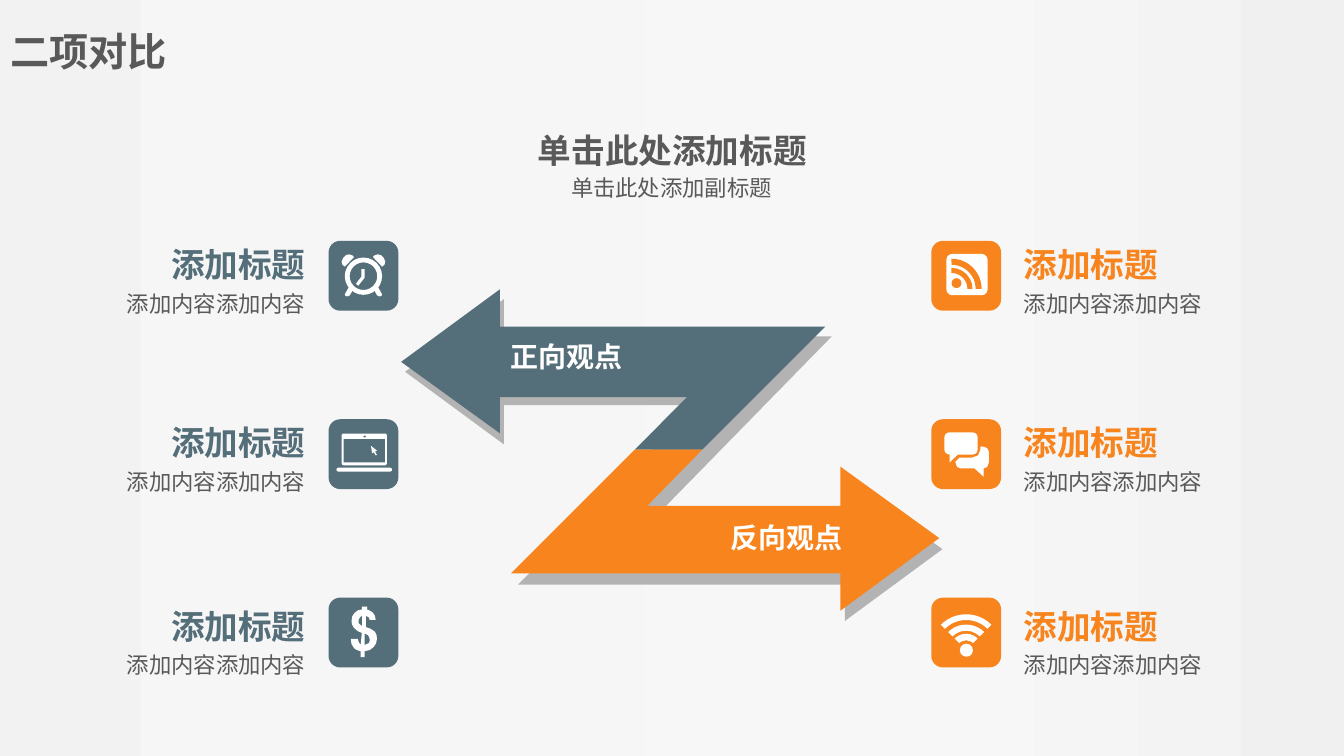
"""Build a slide that sets two opposing views against each other with a Z-shaped double arrow."""
from dataclasses import dataclass

from lxml.etree import SubElement
from pptx import Presentation
from pptx.dml.color import RGBColor
from pptx.enum.shapes import MSO_SHAPE as Preset
from pptx.enum.text import MSO_ANCHOR, MSO_AUTO_SIZE, PP_ALIGN as Align
from pptx.oxml.ns import qn
from pptx.util import Cm, Pt


@dataclass(frozen=True)
class Theme:
    slate: str = "546E7A"
    orange: str = "F8841D"
    white: str = "FFFFFF"
    text: str = "595959"
    shade: str = "B4B3B3"
    backdrop: tuple = ((0, "F2F2F2"), (21, "F6F6F6"), (48, "F7F7F7"), (77, "F5F5F5"), (100, "F0F0F0"))
    font: str = "Calibri"
    cjk_font: str = "Noto Sans CJK SC"
    title: int = 28
    heading: int = 24
    label: int = 20
    body: int = 16


theme = Theme()
presentation = Presentation()
presentation.slide_width, presentation.slide_height = Cm(33.87), Cm(19.05)
slide = presentation.slides.add_slide(presentation.slide_layouts[5])


def draw(color, kind, geometry, adjustments=(), origin=(0, 0)):
    """Draw a preset in a box, or an outline of one or more contours, in centimetres from origin."""
    left, top = origin
    if kind == "outline":
        contours = [[(Cm(left + x), Cm(top + y)) for x, y in contour] for contour in geometry]
        builder = slide.shapes.build_freeform(*contours[0][0])
        builder.add_line_segments(contours[0][1:])
        for contour in contours[1:]:
            builder.move_to(*contour[0])
            builder.add_line_segments(contour[1:])
        shape = builder.convert_to_shape()
    else:
        x, y, width, height = geometry
        shape = slide.shapes.add_shape(kind, Cm(left + x), Cm(top + y), Cm(width), Cm(height))
        for index, value in enumerate(adjustments):
            shape.adjustments[index] = value
    shape.shadow.inherit = False
    shape.fill.solid()
    shape.fill.fore_color.rgb = RGBColor.from_string(color)
    shape.line.fill.background()


def write(box, lines, alignment=Align.LEFT, spacing=1.0, wrap=True, shape=None):
    """Write (text, size, bold, color, font) lines into a new text box or a given shape."""
    left, top, width, height = map(Cm, box)
    shape = shape or slide.shapes.add_textbox(left, top, width, height)
    shape.left, shape.top, shape.width, shape.height = left, top, width, height
    frame = shape.text_frame
    frame.word_wrap = wrap
    frame.auto_size = MSO_AUTO_SIZE.NONE
    frame.vertical_anchor = MSO_ANCHOR.TOP
    for index, (text, size, bold, color, font) in enumerate(lines):
        paragraph = frame.add_paragraph() if index else frame.paragraphs[0]
        paragraph.text = text
        paragraph.alignment = alignment
        paragraph.line_spacing = spacing
        paragraph.font.name = font
        paragraph.font.size = Pt(size)
        paragraph.font.bold = bold
        paragraph.font.color.rgb = RGBColor.from_string(color)


background = slide.background.fill
background.gradient()
background.gradient_angle = 0
stop_list = slide.element.find(".//" + qn("a:gsLst"))
stop_list.clear()
for position, color in theme.backdrop:
    stop = SubElement(stop_list, qn("a:gs"), pos=str(position * 1000))
    SubElement(stop, qn("a:srgbClr"), val=color)

arrows = [
    (theme.shade, [(23.75, 13.84), (21.29, 12.01), (21.29, 13.03), (16.51, 13.03), (20.96, 8.48),
                   (12.7, 8.48), (12.7, 7.54), (10.21, 9.37), (12.7, 11.2), (12.7, 10.21),
                   (17.53, 10.21), (13.06, 14.73), (21.29, 14.73), (21.29, 15.65)]),
    (theme.slate, [(10.11, 9.12), (12.6, 7.29), (12.6, 8.23), (20.8, 8.23), (17.7, 11.33),
                   (16, 11.33), (17.31, 10.01), (12.6, 10.01), (12.6, 10.92)]),
    (theme.orange, [(12.88, 14.45), (16, 11.33), (17.7, 11.33), (16.31, 12.75), (21.18, 12.75),
                    (21.18, 11.76), (23.67, 13.56), (21.18, 15.39), (21.18, 14.45)]),
]
for color, corners in arrows:
    draw(color, "outline", [corners])

tile_size = 1.76
ear = [(1.12, .41), (1.15, .37), (1.24, .34), (1.32, .36), (1.39, .43), (1.43, .52), (1.41, .6), (1.35, .65)]
foot = [(1.24, 1.15), (1.35, 1.35), (1.33, 1.39), (1.28, 1.4), (1.22, 1.37), (1.14, 1.22)]
clock_hand = [(.83, .71), (.91, .71), (.91, .93), (.75, 1.13), (.69, 1.08), (.83, .9)]
clock = [
    (theme.white, Preset.DONUT, (.41, .42, .94, .94), (.13,)),
    (theme.white, "outline", [clock_hand]),
]
for half in (ear, foot):
    clock += [(theme.white, "outline", [half]),
              (theme.white, "outline", [[(tile_size - x, y) for x, y in half]])]

pointer = [(1.07, .67), (1.23, .8), (1.17, .81), (1.22, .9), (1.19, .91), (1.14, .83), (1.1, .86)]
laptop = [
    (theme.white, Preset.ROUNDED_RECTANGLE, (.33, .36, 1.14, .8), (.06,)),
    (theme.slate, Preset.RECTANGLE, (.38, .5, 1.04, .59)),
    (theme.slate, Preset.OVAL, (.88, .41, .06, .05)),
    (theme.white, Preset.ROUNDED_RECTANGLE, (.2, 1.22, 1.4, .1), (.5,)),
    (theme.white, "outline", [pointer]),
]

dollar_outline = [
    (.81, 1.19), (.84, .89), (.73, .84), (.64, .76), (.59, .67), (.58, .58), (.6, .47), (.66, .38),
    (.74, .32), (.84, .3), (.84, .23), (.97, .23), (.97, .3), (1.05, .33), (1.12, .38), (1.17, .46),
    (1.19, .56), (1.04, .56), (1.01, .49), (.94, .46), (.94, .74), (1.07, .79), (1.17, .86),
    (1.21, .94), (1.22, 1.04), (1.2, 1.15), (1.14, 1.24), (1.04, 1.32), (.91, 1.35), (.91, 1.5),
    (.81, 1.5), (.81, 1.35), (.71, 1.32), (.64, 1.27), (.58, 1.17), (.56, 1.04), (.74, 1.04), (.76, 1.12),
]
dollar_upper = [(.84, .46), (.79, .51), (.76, .56), (.76, .64), (.84, .71)]
dollar_lower = [(.91, 1.19), (1.02, 1.14), (1.04, 1.07), (1.02, .99), (.98, .94), (.91, .91)]
dollar = [(theme.white, "outline", [dollar_outline]),
          (theme.slate, "outline", [dollar_upper]),
          (theme.slate, "outline", [dollar_lower])]

feed = [
    (theme.white, Preset.ROUNDED_RECTANGLE, (.38, .33, 1.04, 1.04), (.14,)),
    (theme.orange, Preset.OVAL, (.51, .94, .25, .25)),
]
for radius, thickness in ((.53, .12), (.76, .1)):
    box = (.51 - radius, 1.21 - radius, 2 * radius, 2 * radius)
    feed.append((theme.orange, Preset.BLOCK_ARC, box, (162, 0, thickness)))

front_bubble = [
    (1.32, .69), (1.24, .69), (1.24, .76), (1.18, .91), (1.02, .97), (.71, .97), (.61, 1.07), (.61, 1.09),
    (.65, 1.2), (.74, 1.24), (1.09, 1.24), (1.32, 1.45), (1.32, 1.24), (1.41, 1.2), (1.45, 1.09),
    (1.45, .81), (1.41, .73),
]
chat = [
    (theme.white, "outline", [front_bubble]),
    (theme.white, Preset.ROUNDED_RECTANGLE, (.33, .33, .84, .56), (.23,)),
    (theme.white, "outline", [[(.46, .8), (.46, 1.09), (.69, .87)]]),
]

wireless = [(theme.white, Preset.OVAL, (.72, 1.16, .33, .33))]
for radius, thickness in ((.9, .08), (.64, .12), (.41, .2)):
    box = (.88 - radius, 1.32 - radius, 2 * radius, 2 * radius)
    wireless.append((theme.white, Preset.BLOCK_ARC, box, (135, 189, thickness)))

columns = [
    (theme.slate, 8.28, .03, Align.RIGHT, (clock, laptop, dollar)),
    (theme.orange, 23.47, 25.55, Align.LEFT, (feed, chat, wireless)),
]
text_tops = (5.82, 10.31, 14.94)
for color, tile_left, text_left, alignment, icons in columns:
    for row, (icon, text_top) in enumerate(zip(icons, text_tops)):
        origin = (tile_left, 6.07 + 4.495 * row)
        draw(color, Preset.ROUNDED_RECTANGLE, (0, 0, tile_size, tile_size), origin=origin)
        for part in icon:
            draw(*part, origin=origin)
        write((text_left, text_top, 7.92, 2.31),
              [("添加标题", theme.heading, True, color, theme.font),
               ("添加内容添加内容", theme.body, False, theme.text, theme.font)], alignment, 1.2)

write((0, .56, 4.5, 1.45), [("二项对比", theme.title, True, theme.text, theme.font)],
      wrap=False, shape=slide.shapes.title)
write((11.51, 2.95, 10.87, 1.4), [("单击此处添加标题", theme.heading, True, theme.text, theme.font)],
      Align.CENTER, 1.2)
write((10.03, 4.11, 13.79, 1.02), [("单击此处添加副标题", theme.body, False, theme.text, theme.cjk_font)],
      Align.CENTER, 1.23)
for text, left, top in (("正向观点", 12.62, 8.43), ("反向观点", 18.16, 13)):
    write((left, top, 3.35, 1.12), [(text, theme.label, True, theme.white, theme.font)], wrap=False)

presentation.save("out.pptx")
